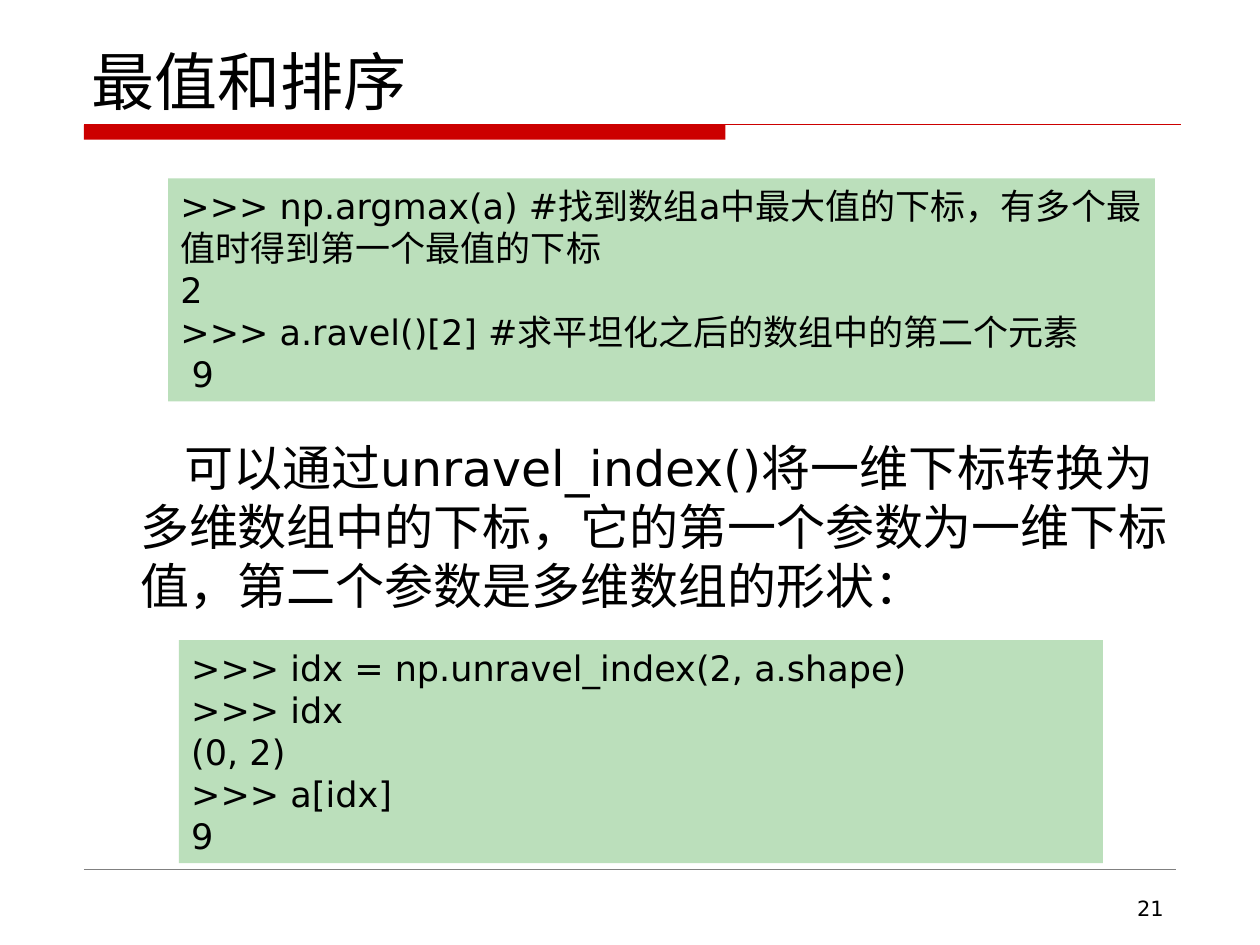
from pptx import Presentation
from pptx.dml.color import RGBColor
from pptx.enum.shapes import MSO_CONNECTOR as Connector, MSO_SHAPE as Shape
from pptx.enum.text import MSO_ANCHOR as Anchor, PP_ALIGN as Align
from pptx.oxml import parse_xml
from pptx.oxml.ns import nsdecls
from pptx.util import Pt

FONT = "DejaVu Sans"
BLACK = RGBColor(0x00, 0x00, 0x00)
RED = RGBColor(0xCC, 0x00, 0x00)
GRAY = RGBColor(0x80, 0x80, 0x80)
GREEN = RGBColor(0xBB, 0xDF, 0xBB)

FIRST_CODE = [
    ">>> np.argmax(a) #找到数组a中最大值的下标，有多个最值时得到第一个最值的下标",
    "2",
    ">>> a.ravel()[2] #求平坦化之后的数组中的第二个元素",
    " 9",
]
SECOND_CODE = [
    ">>> idx = np.unravel_index(2, a.shape)",
    ">>> idx",
    "(0, 2)",
    ">>> a[idx]",
    "9",
]
EXPLANATION = (
    "可以通过unravel_index()将一维下标转换为多维数组中的下标，"
    "它的第一个参数为一维下标值，第二个参数是多维数组的形状："
)


def set_values(target, values):
    for name, value in values.items():
        setattr(target, name, value)


def write_lines(shape, lines, size, anchor=Anchor.TOP, align=Align.LEFT, indent=0):
    frame = shape.text_frame
    set_values(frame, {"word_wrap": True, "vertical_anchor": anchor})
    for index, line in enumerate(lines):
        para = frame.paragraphs[0] if index == 0 else frame.add_paragraph()
        para.alignment = align
        if indent:
            para._p.get_or_add_pPr().set("indent", str(Pt(indent)))
        span = para.add_run()
        span.text = line
        set_values(span.font, {"name": FONT, "size": Pt(size)})
        span.font.color.rgb = BLACK


def add_text(page, bounds, text, size, **layout):
    box = page.shapes.add_textbox(*map(Pt, bounds))
    write_lines(box, [text], size, **layout)


def add_block(page, bounds, color):
    block = page.shapes.add_shape(Shape.RECTANGLE, *map(Pt, bounds))
    block.shadow.inherit = False
    block.fill.solid()
    block.fill.fore_color.rgb = color
    block.line.fill.background()
    return block


def add_rule(page, left, right, top, color, width):
    rule = page.shapes.add_connector(
        Connector.STRAIGHT, Pt(left), Pt(top), Pt(right), Pt(top))
    rule.line.color.rgb = color
    rule.line.width = Pt(width)
    rule._element.spPr.append(parse_xml(f"<a:effectLst {nsdecls('a')}/>"))


def main():
    deck = Presentation()
    set_values(deck, {"slide_width": Pt(720), "slide_height": Pt(540)})
    page = deck.slides.add_slide(deck.slide_layouts[6])

    # Heading with its red bar, and the footer rule
    add_block(page, (48, 71.3, 366.5, 8.6), RED)
    add_rule(page, 48, 674.6, 71.3, RED, 0.75)
    add_rule(page, 48, 672, 496.8, GRAY, 0.25)
    add_text(page, (45.4, 23.8, 630, 47.5), "最值和排序", 36, anchor=Anchor.BOTTOM)

    # Explanation between the code panels
    add_text(page, (73, 246.4, 601.6, 110), EXPLANATION, 28, indent=25.5)

    # Code panels
    write_lines(add_block(page, (102.2, 365.8, 528, 127.4), GREEN), SECOND_CODE, 20)
    write_lines(add_block(page, (96, 102, 564, 127.4), GREEN), FIRST_CODE, 20)

    # Page number
    add_text(page, (516, 508.3, 156.2, 21), "21", 12, align=Align.RIGHT)

    deck.save("out.pptx")


if __name__ == "__main__":
    main()
